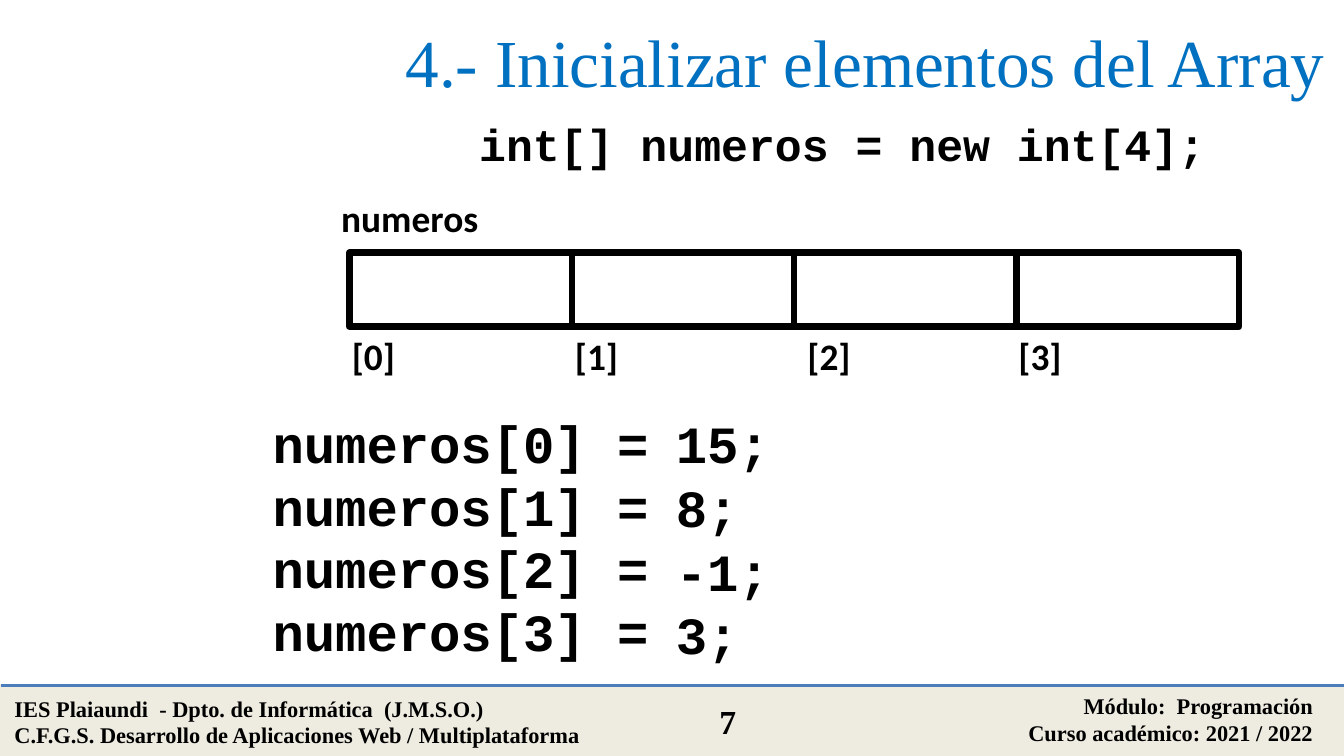
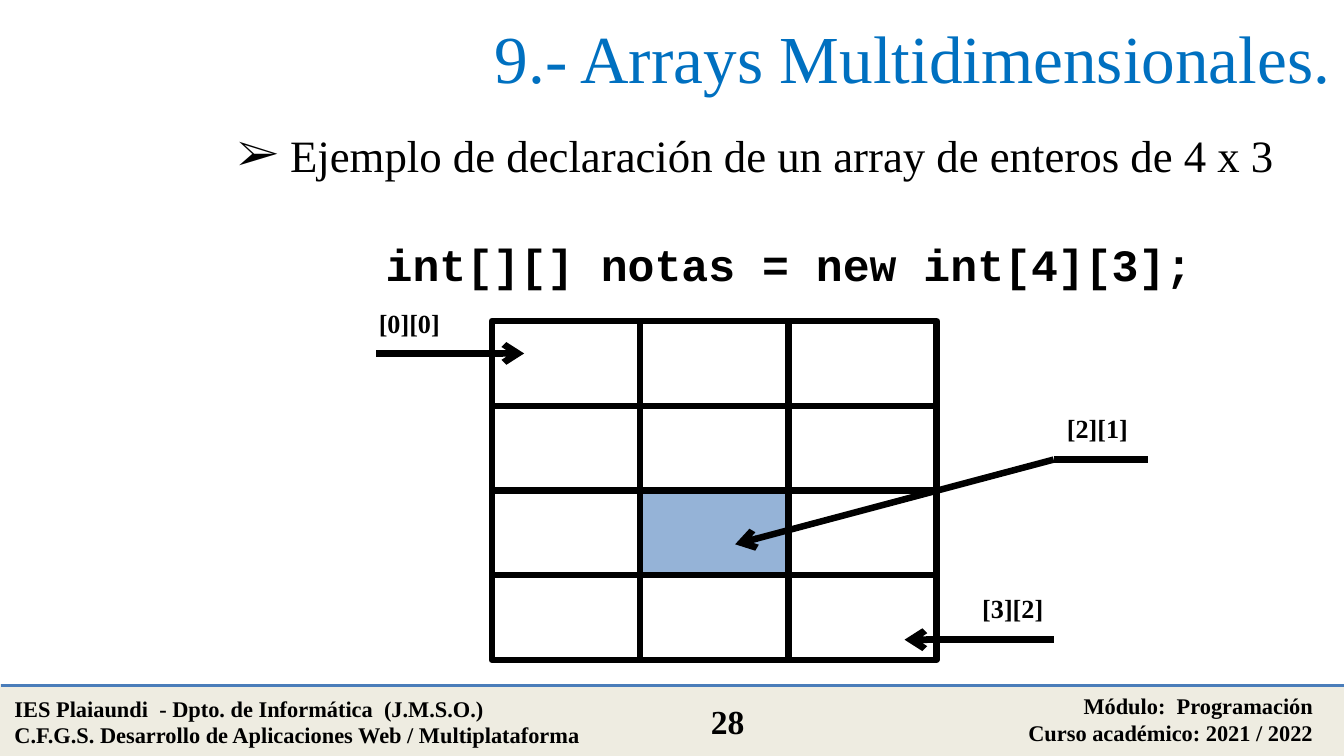
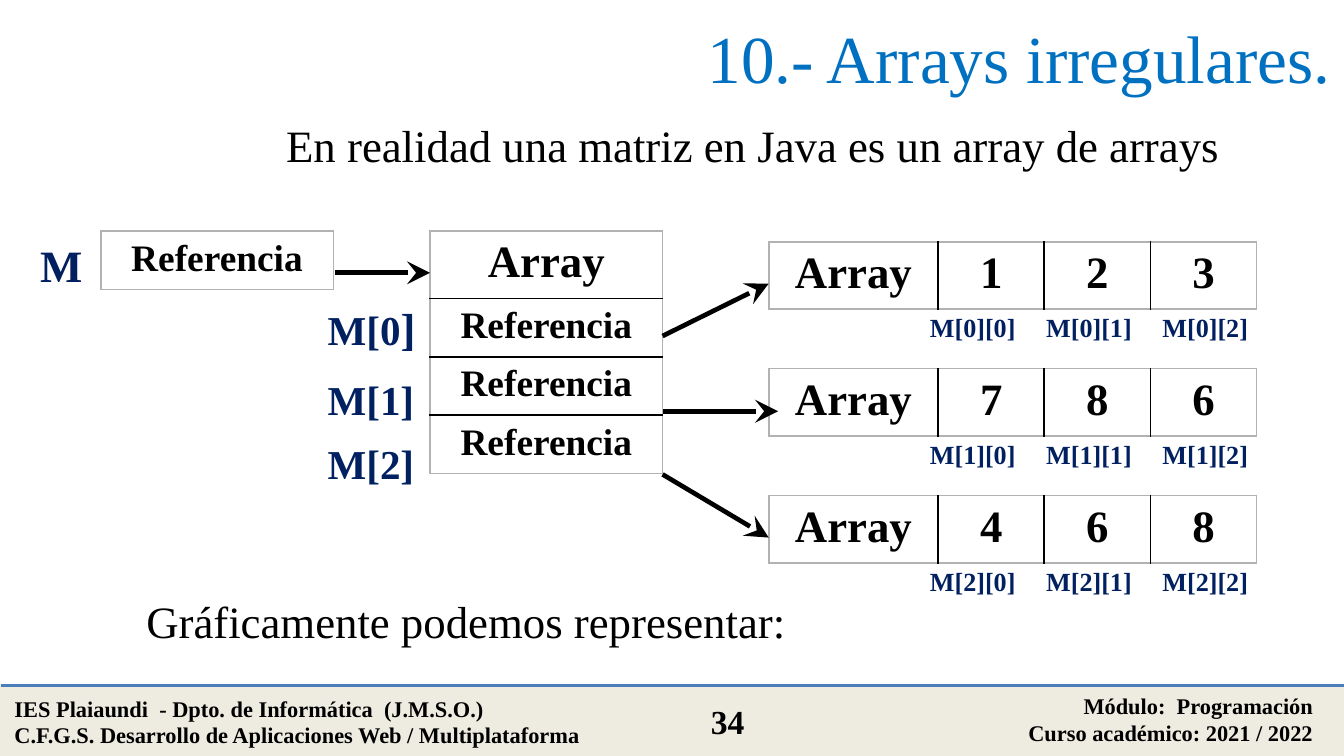
from collections import namedtuple
from dataclasses import dataclass

from lxml import etree
from pptx import Presentation
from pptx.dml.color import RGBColor
from pptx.enum.shapes import MSO_CONNECTOR, MSO_SHAPE
from pptx.enum.text import MSO_ANCHOR, PP_ALIGN
from pptx.oxml.ns import qn
from pptx.util import Inches, Pt

Box = namedtuple("Box", "left top width height")


@dataclass(frozen=True)
class Theme:
    ink: str = "000000"
    title_blue: str = "0070C0"
    label_navy: str = "002060"
    paper: str = "FFFFFF"
    highlight: str = "95B3D7"
    band: str = "EEECE1"
    rule: str = "4A7DBA"
    table_edge: str = "B2B2B2"
    serif: str = "Times New Roman"
    sans: str = "Calibri"
    code: str = "Courier New"
    title_size: int = 36
    assign_size: int = 28
    body_size: int = 24
    row_size: int = 22
    index_size: int = 20
    page_size: int = 18
    small_size: int = 14
    footer_size: int = 12
    grid_line: float = 3.5
    arrow_line: float = 2.5
    band_line: float = 2
    table_line: float = 1


THEME = Theme()


def rgb(color):
    return RGBColor.from_string(color)


def inches(box):
    return [Inches(length) for length in box]


def style_font(font, size, face=THEME.serif, color=THEME.ink, bold=False):
    font.name, font.size, font.bold = face, Pt(size), bold
    font.color.rgb = rgb(color)


def add_text(slide, box, lines, size, align=PP_ALIGN.LEFT, anchor=MSO_ANCHOR.TOP, **font):
    """Add a text box with one paragraph per line and return its paragraphs."""
    frame = slide.shapes.add_textbox(*inches(box)).text_frame
    frame.word_wrap = True
    frame.vertical_anchor = anchor
    frame.text = "\n".join(lines)
    for paragraph in frame.paragraphs:
        paragraph.alignment = align
        style_font(paragraph.font, size, **font)
    return frame.paragraphs


def add_rect(slide, box, fill, line, weight):
    rect = slide.shapes.add_shape(MSO_SHAPE.RECTANGLE, *inches(box))
    rect.shadow.inherit = False
    if fill:
        rect.fill.solid()
        rect.fill.fore_color.rgb = rgb(fill)
    else:
        rect.fill.background()
    rect.line.color.rgb = rgb(line)
    rect.line.width = Pt(weight)


def add_line(slide, start, end, weight, color=THEME.ink, head=None, head_size="med"):
    """Draw a straight line; head names the arrowhead at its end."""
    line = slide.shapes.add_connector(MSO_CONNECTOR.STRAIGHT, *inches(start + end))
    line.line.color.rgb = rgb(color)
    line.line.width = Pt(weight)
    properties = line._element.spPr
    if head:
        etree.SubElement(properties.find(qn("a:ln")), qn("a:tailEnd"),
                         type=head, w=head_size, len=head_size)
    etree.SubElement(properties, qn("a:effectLst"))


def add_reference_arrow(slide, start, end):
    add_line(slide, start, end, THEME.arrow_line, head="stealth", head_size="lg")


def add_grid(slide, box, columns, rows=1, fill=None, marked=None):
    """Fill the box with equal cells; marked is the (row, column) to highlight."""
    width, height = box.width / columns, box.height / rows
    for row in range(rows):
        for column in range(columns):
            cell = Box(box.left + column * width, box.top + row * height, width, height)
            color = THEME.highlight if (row, column) == marked else fill
            add_rect(slide, cell, color, THEME.ink, THEME.grid_line)


def outline_cell(cell, outer_sides):
    """Draw the four borders; outer_sides flags left, right, top and bottom edges."""
    properties = cell._tc.get_or_add_tcPr()
    sides = ("a:lnL", "a:lnR", "a:lnT", "a:lnB")
    for position, (side, outer) in enumerate(zip(sides, outer_sides)):
        border = etree.Element(qn(side), w=str(Pt(THEME.table_line)))
        fill = etree.SubElement(border, qn("a:solidFill"))
        color = THEME.table_edge if outer else THEME.ink
        etree.SubElement(fill, qn("a:srgbClr"), val=color)
        properties.insert(position, border)


def add_array_table(slide, box, rows, widths):
    """Add an outlined table whose references are smaller than its other words."""
    table = slide.shapes.add_table(len(rows), len(widths), *inches(box)).table
    table.first_row = table.horz_banding = False
    for column, width in zip(table.columns, widths):
        column.width = Inches(width)
    for row_index, words in enumerate(rows):
        table.rows[row_index].height = Inches(0.41)
        for column_index, word in enumerate(words):
            cell = table.cell(row_index, column_index)
            cell.text = word
            cell.fill.background()
            outline_cell(cell, (column_index == 0, column_index == len(widths) - 1,
                                row_index == 0, row_index == len(rows) - 1))
            paragraph = cell.text_frame.paragraphs[0]
            paragraph.alignment = PP_ALIGN.CENTER
            size = THEME.index_size if word == "Referencia" else THEME.body_size
            style_font(paragraph.font, size, bold=True)


def add_footer(slide, box, page):
    left, top = box.left, box.top
    add_rect(slide, box, THEME.band, THEME.band, THEME.band_line)
    add_line(slide, (left, top), (left + box.width, top), THEME.band_line, THEME.rule)
    school = ["IES Plaiaundi  - Dpto. de Informática  (J.M.S.O.)",
              "C.F.G.S. Desarrollo de Aplicaciones Web / Multiplataforma"]
    course = ["Módulo:  Programación", "Curso académico: 2021 / 2022"]
    add_text(slide, Box(left, top + 0.02, 4.66, 0.5), school, THEME.footer_size, bold=True)
    add_text(slide, Box(left + 5.86, top, 4, 0.5), course, THEME.footer_size,
             PP_ALIGN.RIGHT, bold=True)
    add_text(slide, Box(left + 5, top + 0.07, 0.81, 0.4), [str(page)], THEME.page_size,
             PP_ALIGN.CENTER, bold=True)


def start_slide(deck, title, page, title_box=Box(1.07, 0, 8.93, 0.84)):
    slide = deck.slides.add_slide(deck.slide_layouts[6])
    add_footer(slide, Box(0.01, 5.1, 9.99, 0.52), page)
    add_text(slide, title_box, [title], THEME.title_size, PP_ALIGN.RIGHT,
             MSO_ANCHOR.MIDDLE, color=THEME.title_blue)
    return slide


def draw_named_array(slide, box):
    """Draw the four cells with the array name above and the indices below."""
    add_grid(slide, box, columns=4)
    label = dict(size=THEME.index_size, face=THEME.sans, bold=True)
    add_text(slide, Box(box.left - 0.16, box.top - 0.48, 1.39, 0.44), ["numeros"], **label)
    for index, offset in enumerate((-0.08, 1.58, 3.31, 4.88)):
        place = Box(box.left + offset, box.top + box.height, 0.54, 0.44)
        add_text(slide, place, [f"[{index}]"], **label)


def draw_assignments(slide, box, values):
    code = dict(size=THEME.assign_size, face=THEME.code, bold=True)
    add_text(slide, box, [f"numeros[{index}] =" for index in range(len(values))], **code)
    for index, value in enumerate(values):
        place = Box(box.left + 3, box.top + index * 0.475, 0.94, 0.57)
        add_text(slide, place, [f"{value};"], **code)


def build_initialization(deck):
    slide = start_slide(deck, "4.- Inicializar elementos del Array", 7,
                        Box(1.28, 0.03, 8.68, 0.84))
    add_text(slide, Box(2.59, 0.82, 7.35, 0.5), ["int[] numeros = new int[4];"],
             THEME.body_size, PP_ALIGN.CENTER, face=THEME.code, bold=True)
    draw_named_array(slide, Box(2.6, 1.88, 6.62, 0.55))
    draw_assignments(slide, Box(1.93, 3.01, 5.28, 1.99), [15, 8, -1, 3])


def add_bullet(paragraph, char, indent):
    properties = paragraph._p.get_or_add_pPr()
    properties.set("marL", str(Inches(indent)))
    properties.set("indent", str(-Inches(indent)))
    face = etree.Element(qn("a:buFont"), typeface=THEME.serif)
    properties.insert(0, face)
    face.addnext(etree.Element(qn("a:buChar"), char=char))


def draw_matrix(slide, box):
    """Draw the 4 x 3 matrix and the callouts that name three of its cells."""
    add_grid(slide, box, columns=3, rows=4, fill=THEME.paper, marked=(2, 1))
    callouts = [  # name, label corner, arrow start, arrow end
        ("[0][0]", (-0.94, -0.15), (-0.86, 0.24), (0.24, 0.24)),
        ("[3][2]", (3.55, 1.97), (4.18, 2.37), (3.07, 2.37)),
        ("[2][1]", (4.18, 0.63), (4.18, 1.03), (1.81, 1.66)),
    ]

    def at(point):
        return box.left + point[0], box.top + point[1]

    for name, corner, start, end in callouts:
        add_text(slide, Box(*at(corner), 0.79, 0.4), [name], THEME.small_size, bold=True)
        add_line(slide, at(start), at(end), THEME.grid_line, head="arrow")
    add_line(slide, at((4.18, 1.03)), at((4.88, 1.03)), THEME.grid_line)


def build_multidimensional(deck):
    slide = start_slide(deck, "9.- Arrays Multidimensionales.", 28)
    example = add_text(slide, Box(1.67, 0.9, 8.02, 0.5),
                       ["Ejemplo de declaración de un array de enteros de 4 x 3"],
                       THEME.body_size)[0]
    add_bullet(example, "➢", 0.39)
    declaration = add_text(slide, Box(2.13, 1.53, 7.48, 0.69),
                           ["int[][] notas = new int[4][3];"], THEME.body_size,
                           PP_ALIGN.CENTER, face=THEME.code, bold=True)[0]
    declaration.line_spacing = Pt(42)
    draw_matrix(slide, Box(3.66, 2.39, 3.31, 2.52))


def draw_references(slide, box):
    """Draw the variable M and the array of references it points to."""
    left, top = box.left, box.top
    label = dict(color=THEME.label_navy, bold=True)
    add_array_table(slide, Box(left + 0.55, top, 1.73, 0.43), [["Referencia"]], [1.73])
    add_array_table(slide, Box(left + 3, top, 1.73, 1.8),
                    [["Array"]] + [["Referencia"]] * 3, [1.73])
    add_reference_arrow(slide, (left + 2.29, top + 0.31), (left + 3, top + 0.31))
    add_text(slide, Box(left, top, 0.55, 0.5), ["M"], THEME.body_size, **label)
    for name, offset in (("M[0", 0.47), ("M[1]", 1.02), ("M[2]", 1.49)):
        place = Box(left + 2.14, top + offset, 0.94, 0.47)
        paragraph = add_text(slide, place, [name], THEME.row_size, **label)[0]
        if name == "M[0":
            bracket = paragraph.add_run()
            bracket.text = "]"
            bracket.font.size = Pt(THEME.body_size)


def draw_row_arrays(slide, box, matrix):
    """Draw one table per matrix row, with the element names under it."""
    pitch = box.height / len(matrix)
    for row, values in enumerate(matrix):
        top = box.top + row * pitch
        add_array_table(slide, Box(box.left, top, box.width, 0.5),
                        [["Array"] + [str(value) for value in values]],
                        [1.26, 0.79, 0.79, 0.79])
        for column in range(len(values)):
            place = Box(box.left + 1.1 + column * 0.865, top + 0.47, 1.02, 0.4)
            add_text(slide, place, [f"M[{row}][{column}]"], THEME.small_size,
                     color=THEME.label_navy, bold=True)


def build_irregular(deck):
    slide = start_slide(deck, "10.- Arrays irregulares.", 34)
    add_text(slide, Box(1.6, 0.83, 8, 0.5),
             ["En realidad una matriz en Java es un array de arrays"],
             THEME.body_size, PP_ALIGN.CENTER)
    add_text(slide, Box(0.99, 4.37, 8.07, 0.5), ["Gráficamente podemos representar:"],
             THEME.body_size)
    draw_references(slide, Box(0.2, 1.72, 4.73, 1.8))
    draw_row_arrays(slide, Box(5.72, 1.8, 3.63, 2.83), [[1, 2, 3], [7, 8, 6], [4, 6, 8]])
    for start_y, end in ((2.5, (5.72, 2.11)), (3.06, (5.79, 3.06)), (3.53, (5.72, 4))):
        add_reference_arrow(slide, (4.93, start_y), end)


def main():
    deck = Presentation()
    deck.slide_width, deck.slide_height = Inches(10), Inches(10 * 9 / 16)
    build_initialization(deck)
    build_multidimensional(deck)
    build_irregular(deck)
    deck.save("out.pptx")


if __name__ == "__main__":
    main()
